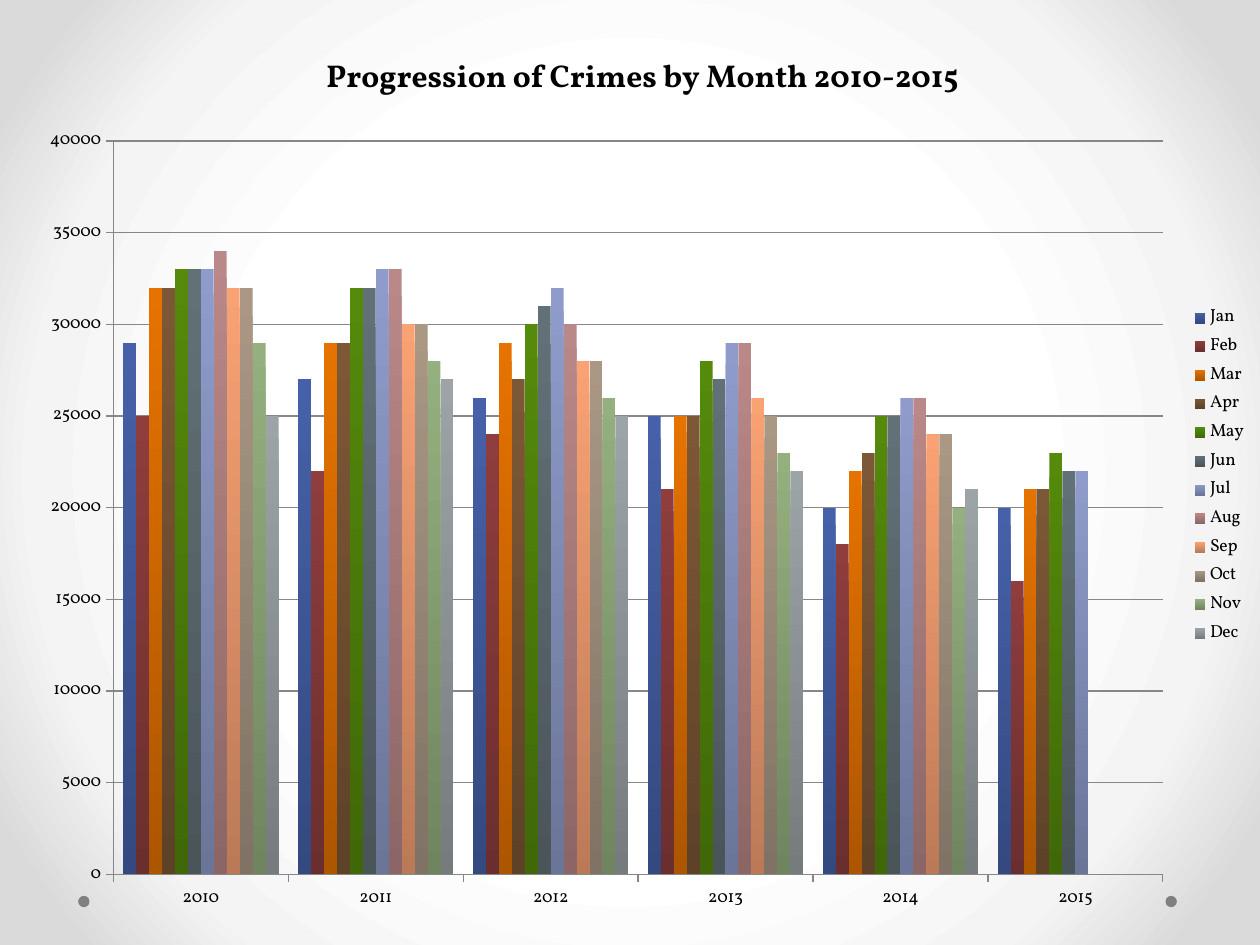
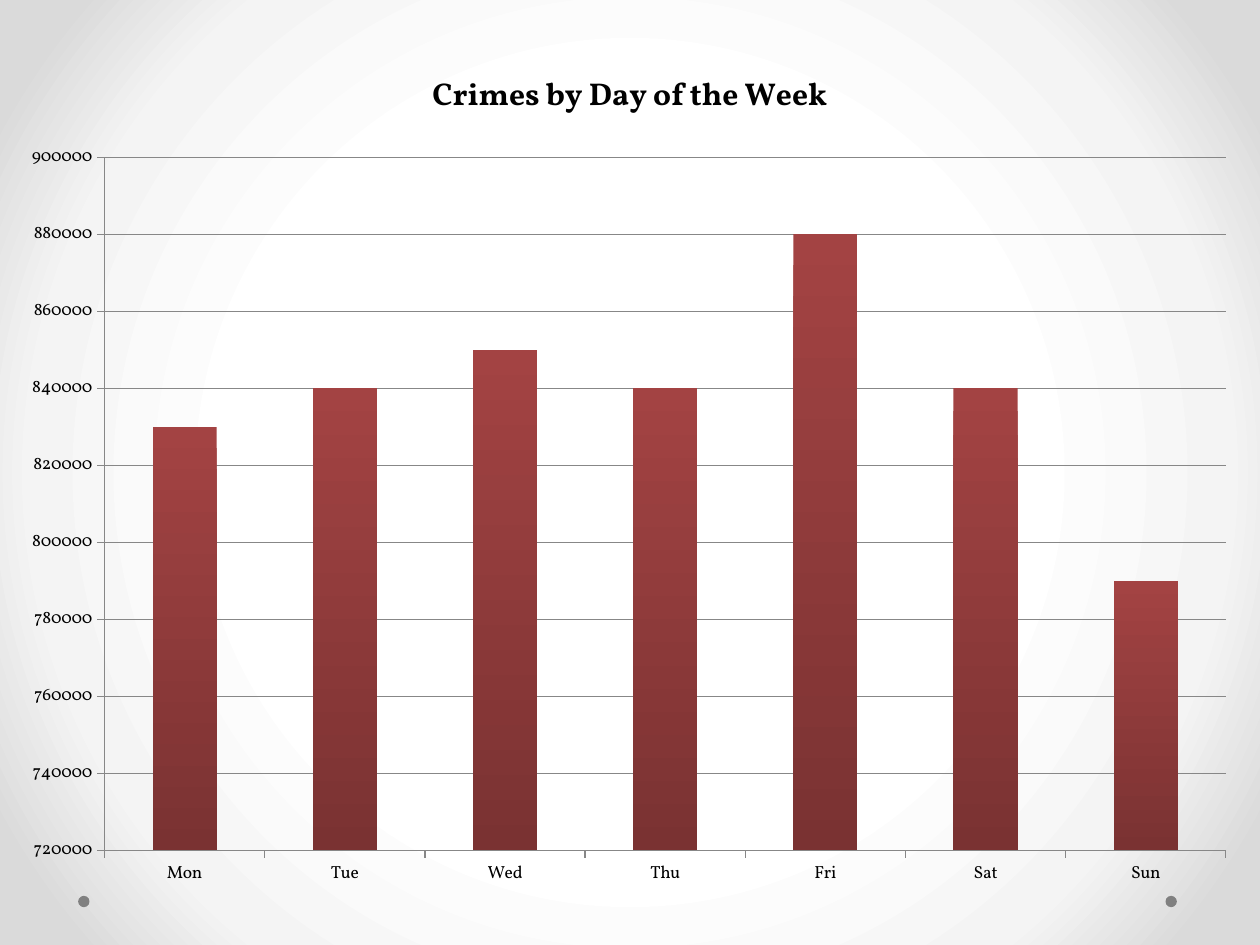
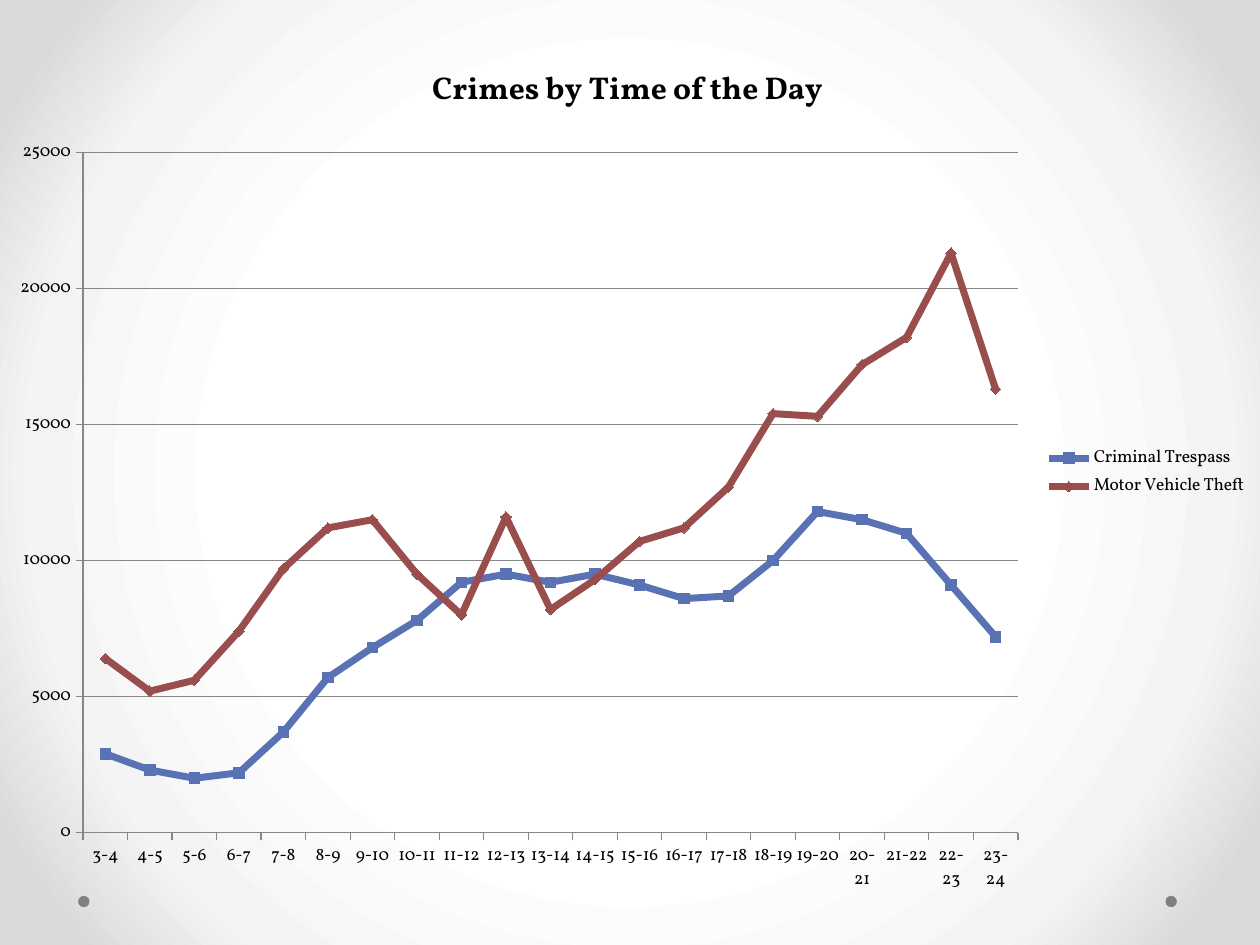
import pptx
import pptx.chart.data
import pptx.dml.color
import pptx.enum.chart
import pptx.enum.shapes
import pptx.oxml
import pptx.oxml.ns
import pptx.util

Inches = pptx.util.Inches
Pt = pptx.util.Pt
XL = pptx.enum.chart

COLORS = {
    "text": "000000", "rule": "878787", "dot": "808080",
    "bg_center": "FFFFFF", "bg_middle": "F4F4F4", "bg_edge": "DADADA",
    "Jan": "4661A9", "Feb": "8F3D3D", "Mar": "E67300", "Apr": "7D5836",
    "May": "558A0B", "Jun": "627178", "Jul": "8F9CCB", "Aug": "BA8888",
    "Sep": "F9A274", "Oct": "AA9885", "Nov": "95B07F", "Dec": "9DA4A8",
    "Series 1": "A34343",
    "Criminal Trespass": "5872B3", "Motor Vehicle Theft": "9A4D4D",
}

YEARS = ["2010", "2011", "2012", "2013", "2014", "2015"]
CRIMES_BY_MONTH = {
    "Jan": [29000, 27000, 26000, 25000, 20000, 20000],
    "Feb": [25000, 22000, 24000, 21000, 18000, 16000],
    "Mar": [32000, 29000, 29000, 25000, 22000, 21000],
    "Apr": [32000, 29000, 27000, 25000, 23000, 21000],
    "May": [33000, 32000, 30000, 28000, 25000, 23000],
    "Jun": [33000, 32000, 31000, 27000, 25000, 22000],
    "Jul": [33000, 33000, 32000, 29000, 26000, 22000],
    "Aug": [34000, 33000, 30000, 29000, 26000, 0],
    "Sep": [32000, 30000, 28000, 26000, 24000, 0],
    "Oct": [32000, 30000, 28000, 25000, 24000, 0],
    "Nov": [29000, 28000, 26000, 23000, 20000, 0],
    "Dec": [25000, 27000, 25000, 22000, 21000, 0],
}
DAYS = ["Mon", "Tue", "Wed", "Thu", "Fri", "Sat", "Sun"]
CRIMES_BY_DAY = {
    "Series 1": [830000, 840000, 850000, 840000, 880000, 840000, 790000],
}
HOURS = [f"{hour}-{hour + 1}" for hour in range(3, 24)]
CRIMES_BY_HOUR = {
    "Criminal Trespass": [
        2900, 2300, 2000, 2200, 3700, 5700, 6800, 7800, 9200, 9500, 9200,
        9500, 9100, 8600, 8700, 10000, 11800, 11500, 11000, 9100, 7200],
    "Motor Vehicle Theft": [
        6400, 5200, 5600, 7400, 9700, 11200, 11500, 9500, 8000, 11600, 8200,
        9300, 10700, 11200, 12700, 15400, 15300, 17200, 18200, 21300, 16300],
}


def rgb(name, shade=1):
    color = pptx.dml.color.RGBColor.from_string(COLORS[name])
    return pptx.dml.color.RGBColor(*(round(part * shade) for part in color))


class Deck:
    font = "Vollkorn"
    label_size = Pt(10)
    title_size = Pt(18)
    bar_shade = 0.75

    def __init__(self):
        self.prs = pptx.Presentation()
        self.prs.slide_width = Inches(10)
        self.prs.slide_height = Inches(7.5)
        self.slide = None
        self.background()

    def background(self):
        master = self.prs.slide_master
        master.background.fill.gradient()
        grad = master.element.find(".//" + pptx.oxml.ns.qn("a:gradFill"))
        stops = [(50, "bg_center"), (76, "bg_middle"), (92, "bg_edge")]
        stop_xml = "".join(
            f'<a:gs pos="{pos * 1000}"><a:srgbClr val="{COLORS[name]}"/></a:gs>'
            for pos, name in stops)
        grad.getparent().replace(grad, pptx.oxml.parse_xml(
            f'<a:gradFill {pptx.oxml.ns.nsdecls("a")} rotWithShape="1">'
            f'<a:gsLst>{stop_xml}</a:gsLst><a:path path="circle">'
            '<a:fillToRect l="50000" t="50000" r="50000" b="50000"/>'
            '</a:path></a:gradFill>'))

    def new_slide(self):
        self.slide = self.prs.slides.add_slide(self.prs.slide_layouts[6])

    def master_dot(self, left, top, size):
        sp = self.slide.shapes.add_shape(
            pptx.enum.shapes.MSO_SHAPE.OVAL,
            Inches(left), Inches(top), Inches(size), Inches(size))
        sp.shadow.inherit = False
        sp.fill.solid()
        sp.fill.fore_color.rgb = rgb("dot")
        sp.line.fill.background()
        self.prs.slide_master.shapes.element.append(sp.element)

    def chart(self, kind, title, cats, series, box, plot_box, scale, legend=True):
        data = pptx.chart.data.CategoryChartData(number_format="0")
        data.categories = cats
        for name, values in series.items():
            data.add_series(name, values)
        chart = self.slide.shapes.add_chart(kind, *map(Inches, box), data).chart
        chart.font.name = self.font
        chart.font.size = self.label_size
        chart.font.color.rgb = rgb("text")
        self.title(chart, title)
        self.axes(chart, *scale)
        self.place_plot(chart, box, plot_box)
        chart.has_legend = legend
        if legend:
            chart.legend.position = XL.XL_LEGEND_POSITION.RIGHT
            chart.legend.include_in_layout = False
        chart.plots[0].vary_by_categories = False
        return chart

    def title(self, chart, text):
        chart.has_title = True
        tf = chart.chart_title.text_frame
        tf.text = text
        font = tf.paragraphs[0].runs[0].font
        font.name = self.font
        font.size = self.title_size
        font.bold = True
        font.color.rgb = rgb("text")

    def axes(self, chart, low, high, step):
        value_axis = chart.value_axis
        value_axis.minimum_scale = low
        value_axis.maximum_scale = high
        value_axis.major_unit = step
        value_axis.tick_labels.number_format = "0"
        value_axis.tick_labels.number_format_is_linked = False
        value_axis.has_major_gridlines = True
        for axis in (chart.category_axis, value_axis):
            axis.major_tick_mark = XL.XL_TICK_MARK.OUTSIDE
        for owner in (chart.category_axis, value_axis, value_axis.major_gridlines):
            owner.format.line.color.rgb = rgb("rule")
            owner.format.line.width = Pt(0.75)

    def place_plot(self, chart, box, plot_box):
        left, top, width, height = box
        x, y, w, h = plot_box
        parts = {"x": (x - left) / width, "y": (y - top) / height,
                 "w": w / width, "h": h / height}
        modes = "".join(f'<c:{key}Mode val="edge"/>' for key in "xy")
        sizes = "".join(f'<c:{key} val="{part:.4f}"/>' for key, part in parts.items())
        layout = pptx.oxml.parse_xml(
            f'<c:layout {pptx.oxml.ns.nsdecls("c")}><c:manualLayout>'
            f'<c:layoutTarget val="inner"/>{modes}{sizes}'
            '</c:manualLayout></c:layout>')
        qn = pptx.oxml.ns.qn
        area = chart.element.find(".//" + qn("c:plotArea"))
        for old in area.findall(qn("c:layout")):
            area.remove(old)
        area.insert(0, layout)

    def column_chart(self, *args, **kwargs):
        chart = self.chart(XL.XL_CHART_TYPE.COLUMN_CLUSTERED, *args, **kwargs)
        chart.plots[0].gap_width = 150
        chart.plots[0].overlap = 0
        for ser in chart.plots[0].series:
            fill = ser.format.fill
            fill.gradient()
            fill.gradient_angle = 270
            for stop, shade in zip(fill.gradient_stops, (1, self.bar_shade)):
                stop.color.rgb = rgb(ser.name, shade)

    def line_chart(self, *args, **kwargs):
        chart = self.chart(XL.XL_CHART_TYPE.LINE_MARKERS, *args, **kwargs)
        styles = (XL.XL_MARKER_STYLE.SQUARE, XL.XL_MARKER_STYLE.DIAMOND)
        for ser, style in zip(chart.plots[0].series, styles):
            ser.smooth = False
            ser.format.line.color.rgb = rgb(ser.name)
            ser.format.line.width = Pt(4)
            ser.marker.style = style
            ser.marker.size = 6
            ser.marker.format.fill.solid()
            ser.marker.format.fill.fore_color.rgb = rgb(ser.name)
            ser.marker.format.line.color.rgb = rgb(ser.name)


def main():
    deck = Deck()

    deck.new_slide()
    for left in (9.25, 0.62):
        deck.master_dot(left, 7.11, 0.09)
    deck.column_chart(
        "Progression of Crimes by Month 2010-2015", YEARS, CRIMES_BY_MONTH,
        box=(0.2, 0.18, 9.8, 7.19), plot_box=(0.9, 1.12, 8.33, 5.82),
        scale=(0, 40000, 5000))

    deck.new_slide()
    deck.column_chart(
        "Crimes by Day of the Week", DAYS, CRIMES_BY_DAY,
        box=(0.06, 0.33, 9.88, 6.85), plot_box=(0.83, 1.25, 8.9, 5.5),
        scale=(720000, 900000, 20000), legend=False)

    deck.new_slide()
    deck.line_chart(
        "Crimes by Time of the Day", HOURS, CRIMES_BY_HOUR,
        box=(-0.04, 0.28, 10.04, 6.94), plot_box=(0.66, 1.21, 7.42, 5.4),
        scale=(0, 25000, 5000))

    deck.prs.save("out.pptx")


if __name__ == "__main__":
    main()
